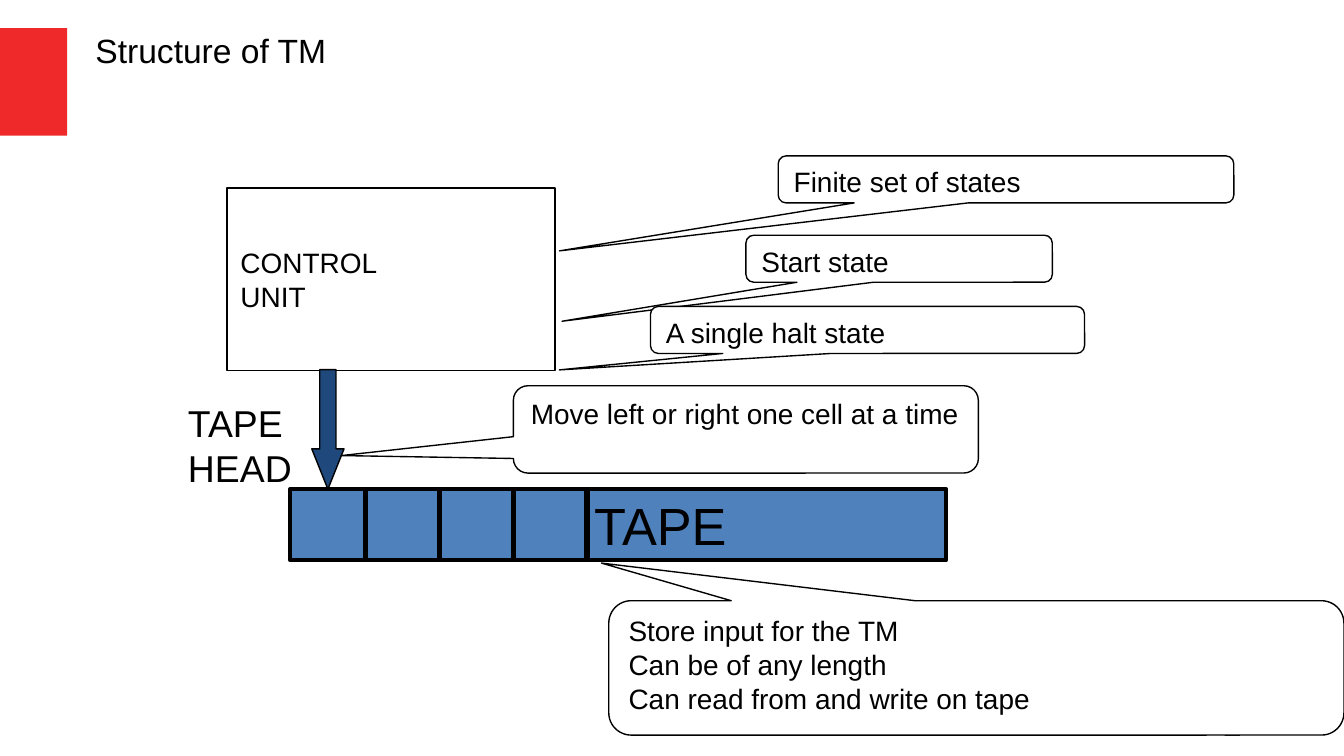
from dataclasses import dataclass

from lxml import etree
from pptx import Presentation
from pptx.dml.color import RGBColor
from pptx.enum.shapes import MSO_CONNECTOR, MSO_SHAPE
from pptx.enum.text import MSO_ANCHOR, PP_ALIGN
from pptx.oxml.ns import qn
from pptx.util import Inches, Pt

RECT, ARROW = MSO_SHAPE.RECTANGLE, MSO_SHAPE.DOWN_ARROW
CALLOUT = MSO_SHAPE.ROUNDED_RECTANGULAR_CALLOUT
STRAIGHT = MSO_CONNECTOR.STRAIGHT
TOP, MIDDLE = MSO_ANCHOR.TOP, MSO_ANCHOR.MIDDLE
LEFT = PP_ALIGN.LEFT

BLACK, WHITE, RED, BLUE, NAVY = "000000", "FFFFFF", "EF2929", "4F81BD", "1F497D"
SLIDE_WIDTH = 10
SLIDE_HEIGHT = SLIDE_WIDTH * 9 / 16
TAPE_LEFT, TAPE_TOP, TAPE_WIDTH, TAPE_HEIGHT = 2.16, 3.64, 4.88, 0.53
CELL_COUNT, FIRST_DIVIDER, CELL_WIDTH = 4, 2.72, 0.55

Box = tuple[float, float, float, float]


@dataclass
class Callout:
    box: Box
    tip: tuple[float, float]  # offset from the centre, in box widths and heights
    lines: list[str]


CALLOUTS = [
    Callout((5.79, 1.16, 3.39, 0.35), (-0.98, 1.52), ["Finite set of states"]),
    Callout((3.82, 2.87, 3.46, 0.65), (-0.87, 0.3),
            ["Move left or right one cell at a time"]),
    Callout((4.53, 4.47, 5.47, 1), (-0.51, -0.78),
            ["Store input for the TM", "Can be of any length",
             "Can read from and write on tape"]),
    Callout((5.55, 1.75, 2.28, 0.35), (-1.1, 1.33), ["Start state"]),
    Callout((4.84, 2.28, 3.23, 0.35), (-0.71, 0.85), ["A single halt state"]),
]


def rgb(color: str) -> RGBColor:
    return RGBColor.from_string(color)


def write(tf, lines: list[str], size: float, anchor=TOP, wrap: bool = True) -> None:
    tf.word_wrap = wrap
    tf.vertical_anchor = anchor
    for i, line in enumerate(lines):
        p = tf.paragraphs[0] if i == 0 else tf.add_paragraph()
        p.text = line
        p.alignment = LEFT
        p.font.name = "Arial"
        p.font.size = Pt(size)
        p.font.color.rgb = rgb(BLACK)


def clear_margins(tf) -> None:
    tf.margin_left = tf.margin_top = tf.margin_right = tf.margin_bottom = 0


def add_block(s, kind, box: Box, fill: str, line_width: float = 0.75):
    """Add a filled shape, outlined in black unless line_width is 0."""
    sp = s.shapes.add_shape(kind, *map(Inches, box))
    sp.shadow.inherit = False
    sp.fill.solid()
    sp.fill.fore_color.rgb = rgb(fill)
    if line_width:
        sp.line.color.rgb = rgb(BLACK)
        sp.line.width = Pt(line_width)
    else:
        sp.line.fill.background()
    return sp


def add_label(s, box: Box, lines: list[str], size: float, wrap: bool = True):
    sp = s.shapes.add_textbox(*map(Inches, box))
    write(sp.text_frame, lines, size, wrap=wrap)
    return sp


def add_divider(s, x: float) -> None:
    line = s.shapes.add_connector(STRAIGHT, Inches(x), Inches(TAPE_TOP),
                                  Inches(x), Inches(TAPE_TOP + TAPE_HEIGHT))
    line.line.color.rgb = rgb(BLACK)
    line.line.width = Pt(3)
    etree.SubElement(line._element.spPr, qn("a:effectLst"))


def add_callout(s, callout: Callout) -> None:
    sp = add_block(s, CALLOUT, callout.box, WHITE)
    sp.adjustments[0], sp.adjustments[1] = callout.tip
    write(sp.text_frame, callout.lines, 15)


def main() -> None:
    prs = Presentation()
    prs.slide_width, prs.slide_height = Inches(SLIDE_WIDTH), Inches(SLIDE_HEIGHT)
    s = prs.slides.add_slide(prs.slide_layouts[5])

    title = s.shapes.title
    title.left, title.top = Inches(0.71), Inches(0.22)
    title.width, title.height = Inches(8.78), Inches(0.3)
    clear_margins(title.text_frame)
    write(title.text_frame, ["Structure of TM"], 18, MIDDLE)

    add_block(s, RECT, (0, 0.21, 0.5, 0.8), RED, 0)
    number = add_label(s, (9.1, 5.23, 0.71, 0.28), ["2"], 18)
    clear_margins(number.text_frame)

    control = add_block(s, RECT, (1.69, 1.4, 2.44, 1.36), WHITE)
    write(control.text_frame, ["CONTROL", "UNIT"], 15, MIDDLE)

    tape = add_block(s, RECT, (TAPE_LEFT, TAPE_TOP, TAPE_WIDTH, TAPE_HEIGHT), BLUE, 2.25)
    tape.text_frame.margin_left = Inches(2.26)
    write(tape.text_frame, ["TAPE"], 28, MIDDLE)

    head = add_block(s, ARROW, (2.32, 2.75, 0.24, 0.89), NAVY)
    head.adjustments[0], head.adjustments[1] = 0.5, 1.25
    add_label(s, (1.3, 2.93, 0.98, 0.77), ["TAPE", "HEAD"], 20, wrap=False)

    for i in range(CELL_COUNT):
        add_divider(s, FIRST_DIVIDER + i * CELL_WIDTH)
    for callout in CALLOUTS:
        add_callout(s, callout)

    prs.save("out.pptx")


if __name__ == "__main__":
    main()
